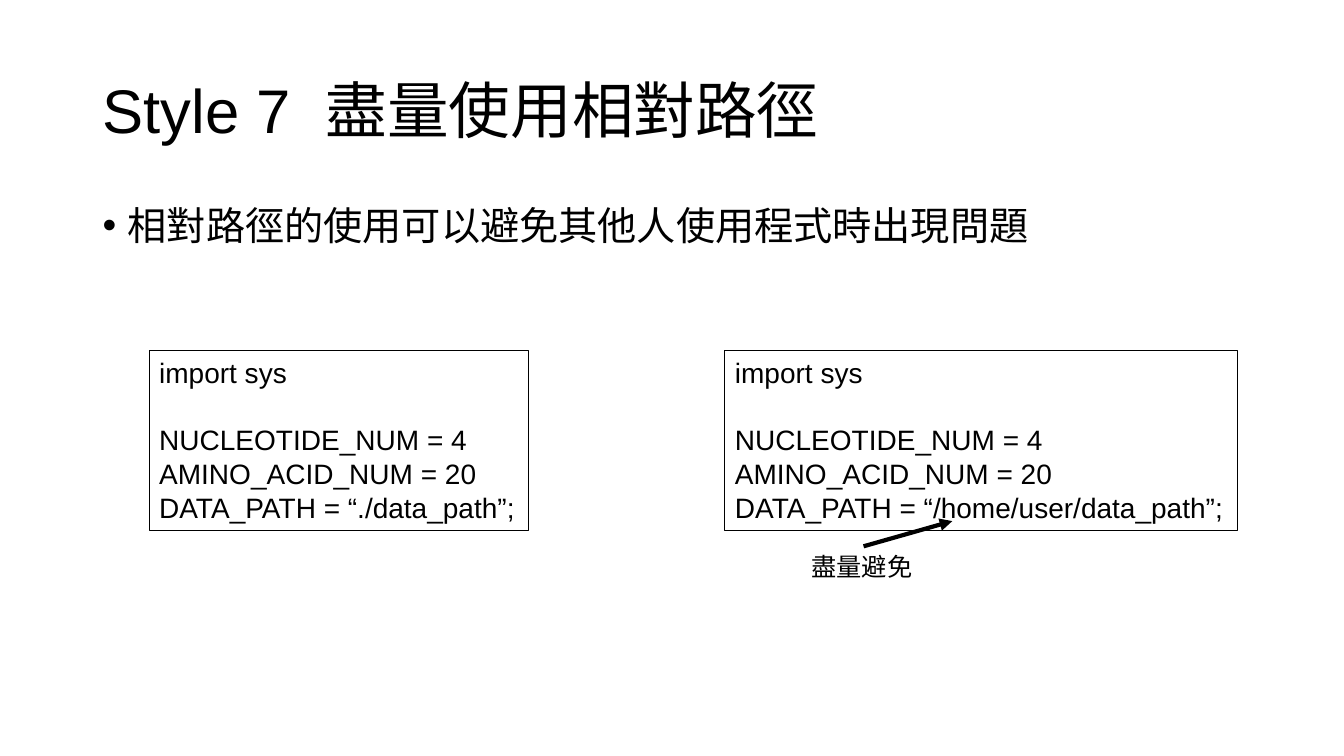
from lxml.etree import SubElement
from pptx import Presentation
from pptx.dml.color import RGBColor
from pptx.enum.shapes import MSO_CONNECTOR as Connector, MSO_SHAPE as Shape
from pptx.enum.text import MSO_ANCHOR as Anchor, PP_ALIGN as Align
from pptx.oxml.ns import qn
from pptx.util import Inches, Pt

COLORS = {"text": "000000", "line": "000000", "background": "FFFFFF"}
FONT = "Arial"


def color(name):
    """Return the named palette colour."""
    return RGBColor.from_string(COLORS[name])


def style_paragraph(paragraph, size):
    """Apply the shared left-aligned text style at the given size."""
    paragraph.alignment = Align.LEFT
    paragraph.font.name = FONT
    paragraph.font.size = Pt(size)
    paragraph.font.color.rgb = color("text")


def add_title(slide, box, text):
    """Fill the title placeholder and fit it to the box."""
    title = slide.shapes.title
    title.left, title.top, title.width, title.height = map(Inches, box)
    frame = title.text_frame
    frame.text = text
    frame.word_wrap = True
    frame.vertical_anchor = Anchor.MIDDLE
    paragraph = frame.paragraphs[0]
    style_paragraph(paragraph, 44)
    paragraph.line_spacing = 0.9


def add_text(slide, box, text, size):
    """Add a one-paragraph text box and return its paragraph."""
    frame = slide.shapes.add_textbox(*map(Inches, box)).text_frame
    frame.word_wrap = True
    frame.text = text
    paragraph = frame.paragraphs[0]
    style_paragraph(paragraph, size)
    return paragraph


def add_bullet(slide, box, text):
    """Add the bulleted statement with a hanging indent."""
    paragraph = add_text(slide, box, text, 28)
    paragraph.line_spacing = 0.9
    paragraph.space_before = Pt(10)
    properties = paragraph._p.get_or_add_pPr()
    properties.set("marL", str(Inches(0.25)))
    properties.set("indent", str(-Inches(0.25)))
    SubElement(properties, qn("a:buFont"), typeface=FONT)
    SubElement(properties, qn("a:buChar"), char="•")


def add_code(slide, box, data_path):
    """Add an outlined code sample that sets the given data path."""
    shape = slide.shapes.add_shape(Shape.RECTANGLE, *map(Inches, box))
    shape.shadow.inherit = False
    shape.fill.background()
    shape.line.color.rgb = color("line")
    shape.line.width = Pt(0.75)
    frame = shape.text_frame
    frame.word_wrap = False
    frame.vertical_anchor = Anchor.TOP
    frame.text = "\n".join([
        "import sys",
        "NUCLEOTIDE_NUM = 4",
        "AMINO_ACID_NUM = 20",
        f"DATA_PATH = “{data_path}”;",
    ])
    for paragraph in frame.paragraphs:
        style_paragraph(paragraph, 20)
    frame.paragraphs[1].space_before = Pt(24)


def add_warning(slide, box, text):
    """Add a label with an arrow rising from its top to the code above."""
    left, top, width, height = box
    start = left + width / 2
    arrow = slide.shapes.add_connector(
        Connector.STRAIGHT,
        *map(Inches, (start, top, start + 0.88, top - 0.25)))
    arrow.line.color.rgb = color("line")
    arrow.line.width = Pt(3)
    SubElement(arrow.line._get_or_add_ln(), qn("a:tailEnd"), type="triangle")
    SubElement(arrow._element.spPr, qn("a:effectLst"))
    add_text(slide, box, text, 18)


def main():
    """Build the slide on relative paths and save it."""
    presentation = Presentation()
    presentation.slide_width = Inches(13.33)
    presentation.slide_height = Inches(7.5)
    slide = presentation.slides.add_slide(presentation.slide_layouts[5])
    slide.background.fill.solid()
    slide.background.fill.fore_color.rgb = color("background")

    add_title(slide, (0.92, 0.4, 11.5, 1.45), "Style 7  盡量使用相對路徑")
    add_bullet(slide, (0.92, 2, 11.5, 4.76), "相對路徑的使用可以避免其他人使用程式時出現問題")
    add_code(slide, (1.48, 3.48, 3.76, 1.78), "./data_path")
    add_code(slide, (7.19, 3.48, 5.08, 1.78), "/home/user/data_path")
    add_warning(slide, (7.95, 5.42, 1.23, 0.4), "盡量避免")
    presentation.save("out.pptx")


if __name__ == "__main__":
    main()
